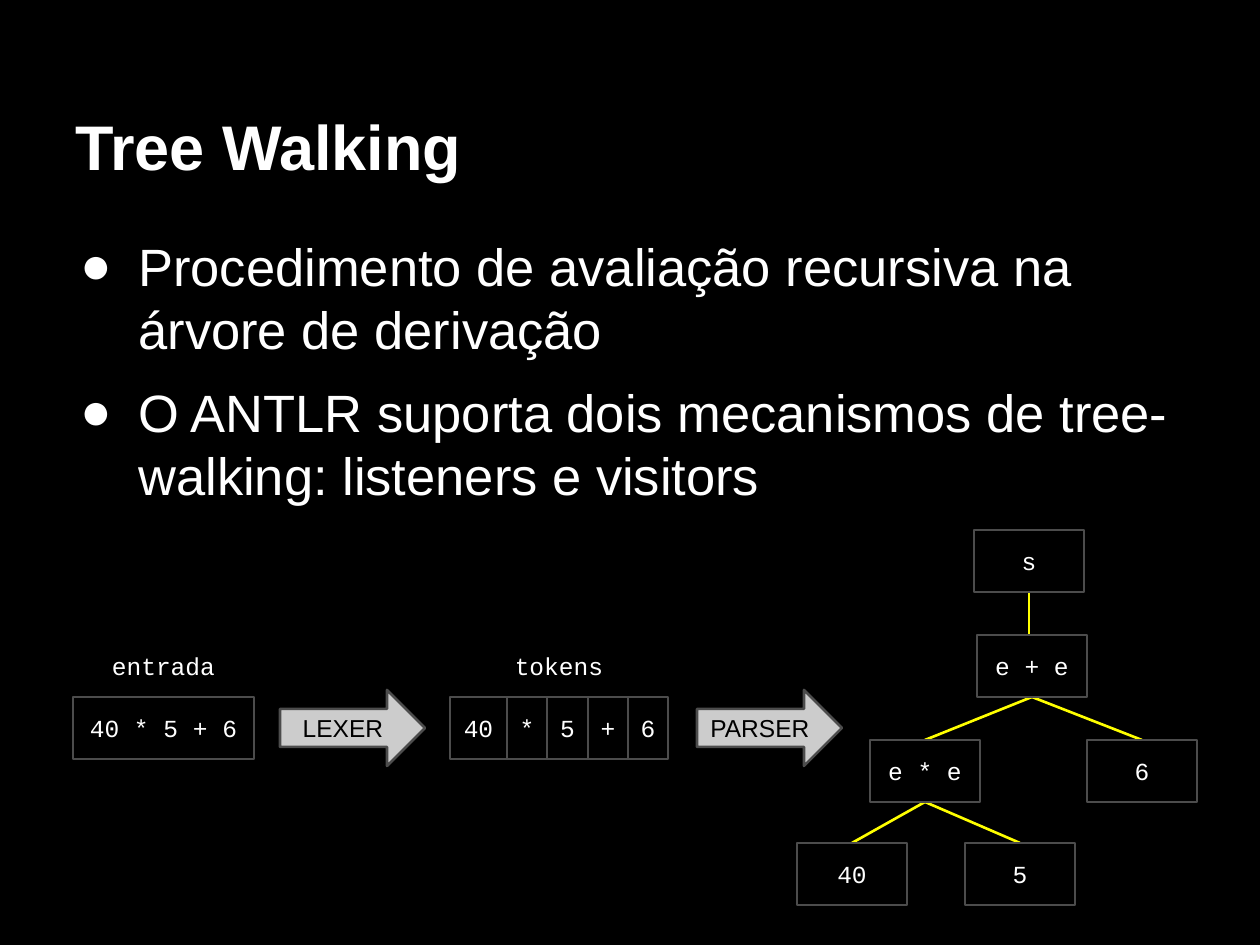
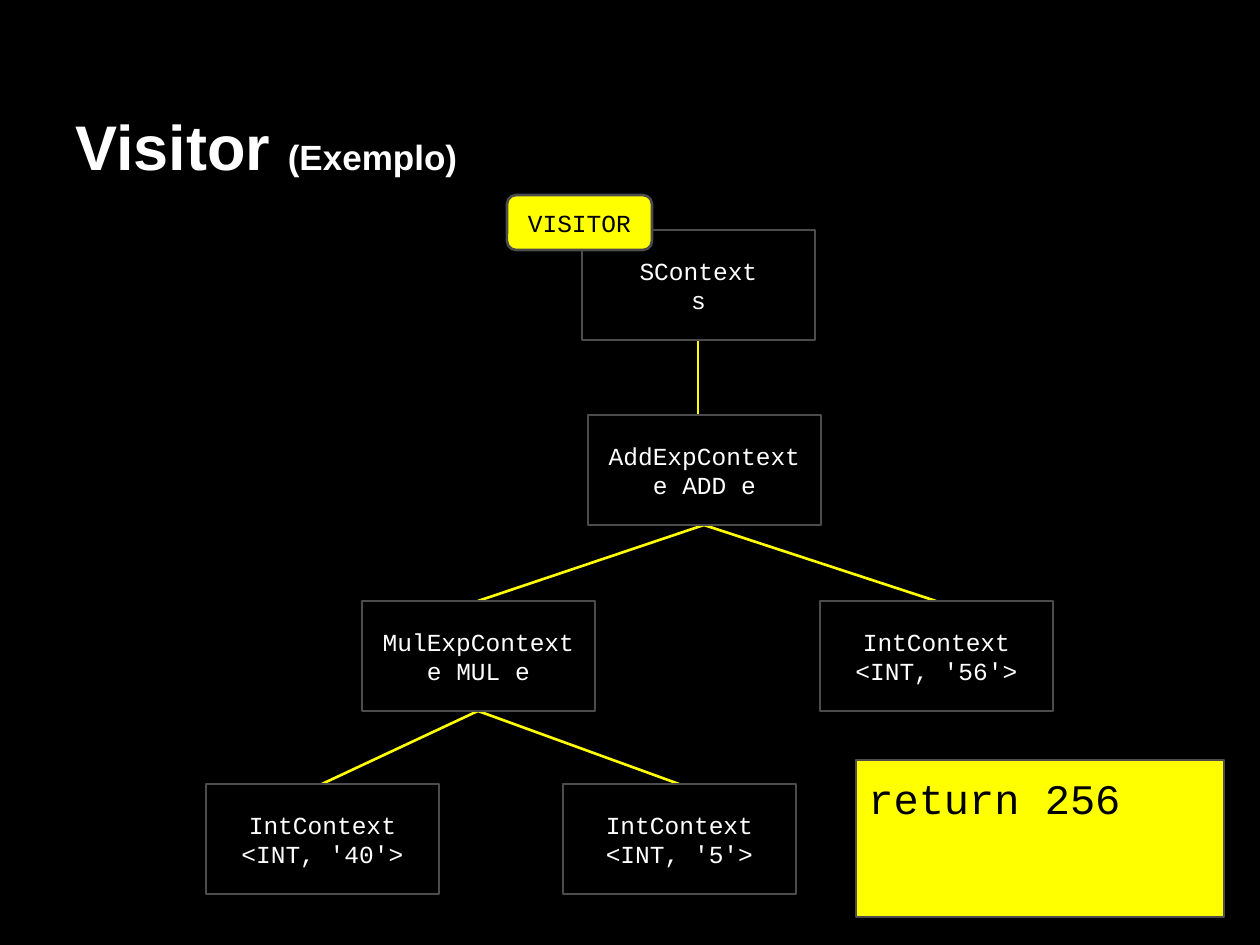
"""Build two slides on tree walking: the parsing pipeline and a visitor example."""
from lxml import etree
from pptx import Presentation
from pptx import util as u
from pptx.dml.color import RGBColor
from pptx.enum import shapes, text
from pptx.oxml import ns

PX = u.Inches(1) // 126
BLACK = RGBColor(0x00, 0x00, 0x00)
WHITE = RGBColor(0xFF, 0xFF, 0xFF)
YELLOW = RGBColor(0xFF, 0xFF, 0x00)
SILVER = RGBColor(0xCC, 0xCC, 0xCC)
GRAY = RGBColor(0x4C, 0x4C, 0x4C)
SANS, MONO = "Arial", "Courier New"
RECT = shapes.MSO_SHAPE.RECTANGLE
ARROW = shapes.MSO_SHAPE.RIGHT_ARROW
ROUNDED = shapes.MSO_SHAPE.ROUNDED_RECTANGLE
LEFT, CENTER = text.PP_ALIGN.LEFT, text.PP_ALIGN.CENTER
TOP, MIDDLE, BOTTOM = text.MSO_ANCHOR.TOP, text.MSO_ANCHOR.MIDDLE, text.MSO_ANCHOR.BOTTOM


def add_text(slide, area, words, kind=RECT, fill=None, line=GRAY, size=14, face=MONO,
             color=WHITE, bold=False, align=CENTER, anchor=MIDDLE, suffix="", bullet=""):
    area = [PX * length for length in area]
    if kind is None:
        holder = slide.shapes.add_textbox(*area)
    else:
        holder = slide.shapes.add_shape(kind, *area)
        holder.shadow.inherit = False
        holder.fill.solid()
        holder.fill.fore_color.rgb = fill or BLACK
        if line is None:
            holder.line.fill.background()
        else:
            holder.line.color.rgb = line
            holder.line.width = u.Pt(1.5)
    frame = holder.text_frame
    frame.word_wrap = True
    frame.vertical_anchor = anchor
    frame.margin_left = frame.margin_right = u.Inches(0.1)
    frame.margin_top = frame.margin_bottom = u.Inches(0.1)
    for index, sentence in enumerate(words.split("\n")):
        paragraph = frame.add_paragraph() if index else frame.paragraphs[0]
        paragraph.alignment = align
        for part, points in ((sentence, size), (suffix, 20)):
            if part:
                run = paragraph.add_run()
                run.text = part
                run.font.size = u.Pt(points)
                run.font.name = face
                run.font.bold = bold
                run.font.color.rgb = color
        if bullet:
            paragraph.space_before = u.Pt(11.5 if index else 0)
            properties = paragraph._p.get_or_add_pPr()
            properties.set("marL", str(PX * 63))
            properties.set("indent", str(PX * -58))
            tint = etree.SubElement(properties, ns.qn("a:buClr"))
            etree.SubElement(tint, ns.qn("a:srgbClr")).set("val", str(WHITE))
            etree.SubElement(properties, ns.qn("a:buFont")).set("typeface", SANS)
            etree.SubElement(properties, ns.qn("a:buChar")).set("char", bullet)


def add_tree(slide, nodes, width, height):
    for left, top, label, parent in nodes:
        if parent is not None:
            start = nodes[parent][0] + width // 2
            end = left + width // 2
            if abs(end - start) < 10:
                end = start
            branch = slide.shapes.add_connector(
                shapes.MSO_CONNECTOR.STRAIGHT, PX * start, PX * (nodes[parent][1] + height),
                PX * end, PX * top)
            branch.line.color.rgb = YELLOW
            branch.line.width = u.Pt(1.5)
            etree.SubElement(branch._element.spPr, ns.qn("a:effectLst"))
    for left, top, label, parent in nodes:
        add_text(slide, (left, top, width, height), label)


deck = Presentation()
deck.slide_width, deck.slide_height = u.Inches(10), u.Inches(7.5)
slides = []
for heading, suffix in (("Tree Walking", ""), ("Visitor ", "(Exemplo)")):
    slide = deck.slides.add_slide(deck.slide_layouts[6])
    slide.background.fill.solid()
    slide.background.fill.fore_color.rgb = BLACK
    add_text(slide, (63, 38, 1134, 158), heading, kind=None, size=36, face=SANS,
             bold=True, align=LEFT, anchor=BOTTOM, suffix=suffix)
    slides.append(slide)
walking, visitor = slides

add_text(walking, (63, 221, 1134, 684),
         "Procedimento de avaliação recursiva na árvore de derivação\n"
         "O ANTLR suporta dois mecanismos de tree-walking: listeners e visitors",
         kind=None, size=30, face=SANS, align=LEFT, anchor=TOP, bullet="●")

for left, width, caption in ((73, 181, "entrada"), (450, 218, "tokens")):
    add_text(walking, (left, 635, width, 62), caption, line=None)
add_text(walking, (73, 697, 181, 62), "40 * 5 + 6")
token_left = 450
for token, width in (("40", 57), ("*", 40), ("5", 41), ("+", 40), ("6", 40)):
    add_text(walking, (token_left, 697, width, 62), token)
    token_left += width
for left, stage in ((280, "LEXER"), (697, "PARSER")):
    add_text(walking, (left, 690, 145, 76), stage, kind=ARROW, fill=SILVER,
             face=SANS, color=BLACK)

derivation = [
    (974, 530, "s", None),
    (977, 635, "e + e", 0),
    (870, 740, "e * e", 1),
    (1087, 740, "6", 1),
    (797, 843, "40", 2),
    (965, 843, "5", 2),
]
add_tree(walking, derivation, 110, 62)

contexts = [
    (582, 230, "SContext\ns", None),
    (588, 415, "AddExpContext\ne ADD e", 0),
    (362, 601, "MulExpContext\ne MUL e", 1),
    (820, 601, "IntContext\n<INT, '56'>", 1),
    (206, 784, "IntContext\n<INT, '40'>", 2),
    (563, 784, "IntContext\n<INT, '5'>", 2),
]
add_tree(visitor, contexts, 233, 110)
add_text(visitor, (507, 195, 145, 55), "VISITOR", kind=ROUNDED, fill=YELLOW, color=BLACK)
add_text(visitor, (856, 760, 368, 157), "return 256", fill=YELLOW, color=BLACK,
         size=24, align=LEFT, anchor=TOP)

deck.save("out.pptx")
